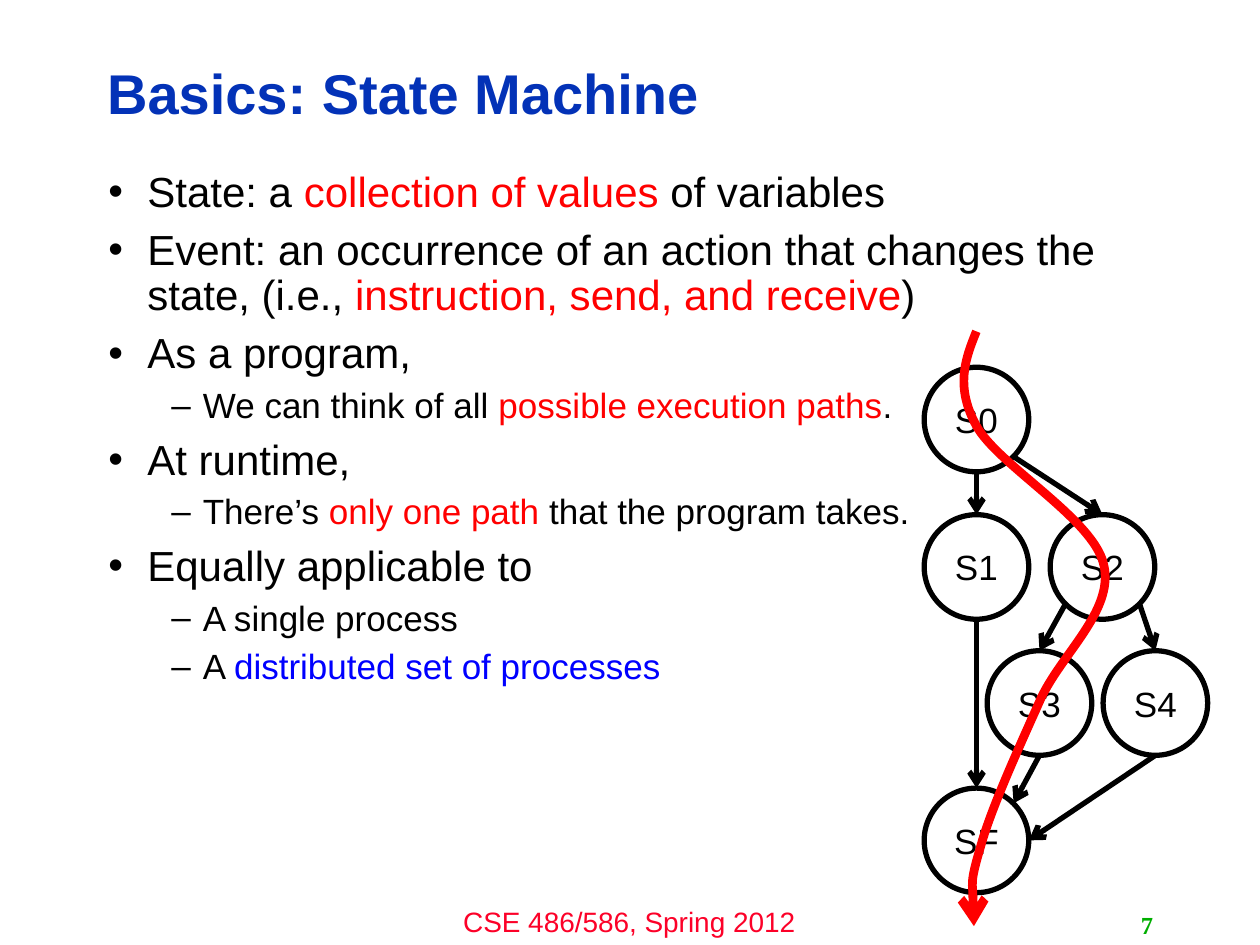
"""Build the state machine slide with its bullets, state graph and path."""
from pptx import Presentation
from pptx.dml.color import RGBColor
from pptx.enum.shapes import MSO_CONNECTOR as Link, MSO_SHAPE as Kind
from pptx.enum.text import MSO_ANCHOR as Anchor, MSO_AUTO_SIZE as Auto, PP_ALIGN as Align
from pptx.oxml.xmlchemy import OxmlElement as Elem
from pptx.util import Inches, Pt


def style(font, size, color, name="Arial", bold=False):
    font.size, font.name, font.bold = Pt(size), name, bold
    font.color.rgb = RGBColor.from_string(color)


def arrow(shape, color, width):
    shape.line.color.rgb = RGBColor.from_string(color)
    shape.line.width = Pt(width)
    tail = Elem("a:tailEnd")
    tail.set("type", "arrow")
    shape.line._get_or_add_ln().append(tail)
    shape._element.spPr.append(Elem("a:effectLst"))


deck = Presentation()
deck.slide_width, deck.slide_height = Inches(10), Inches(7.5)
slide = deck.slides.add_slide(deck.slide_layouts[1])
shapes = slide.shapes

title, body = slide.placeholders
for holder, box in ((title, (0.75, 0.36, 7.98, 0.81)), (body, (0.76, 1.31, 8.4, 5.39))):
    holder.left, holder.top, holder.width, holder.height = map(Inches, box)
    holder.text_frame.auto_size = Auto.NONE

title.text_frame.text = "Basics: State Machine"
title.text_frame.vertical_anchor = Anchor.MIDDLE
para = title.text_frame.paragraphs[0]
para.alignment, para.line_spacing = Align.LEFT, 0.9
style(para.runs[0].font, 32, "0332B7", bold=True)

BLACK, RED, BLUE = "000000", "FF0000", "0000FF"
items = [
    (0, ("State: a ", BLACK), ("collection of values", RED), (" of variables", BLACK)),
    (0, ("Event: an occurrence of an action that changes the state, (i.e., ", BLACK),
     ("instruction, send, and receive", RED), (")", BLACK)),
    (0, ("As a program,", BLACK)),
    (1, ("We can think of all ", BLACK), ("possible execution paths", RED), (".", BLACK)),
    (0, ("At runtime,", BLACK)),
    (1, ("There’s ", BLACK), ("only one path", RED), (" that the program takes.", BLACK)),
    (0, ("Equally applicable to", BLACK)),
    (1, ("A single process", BLACK)),
    (1, ("A ", BLACK), ("distributed set of processes", BLUE)),
]
frame = body.text_frame
for i, (level, *parts) in enumerate(items):
    para = frame.add_paragraph() if i else frame.paragraphs[0]
    size, left, hang, mark = ((24, 0.31, 0.31, "•"), (20, 0.75, 0.25, "–"))[level]
    para.level, para.line_spacing = level, 0.9
    para.space_before = Pt(0.3 * size if i else 0)
    props = para._p.get_or_add_pPr()
    props.set("marL", str(Inches(left)))
    props.set("indent", str(-Inches(hang)))
    bullet = Elem("a:buChar")
    bullet.set("char", mark)
    props.append(bullet)
    for text, color in parts:
        run = para.add_run()
        run.text = text
        style(run.font, size, color)

labels = [
    ("CSE 486/586, Spring 2012", (3.33, 7.13, 3.33, 0.37), Align.CENTER,
     (16, "FC0128", "Arial", False)),
    ("7", (7.17, 7.18, 2.08, 0.32), Align.RIGHT,
     (14, "00AE00", "Times New Roman", True)),
]
for text, box, align, look in labels:
    frame = shapes.add_textbox(*map(Inches, box)).text_frame
    frame.word_wrap, frame.vertical_anchor = True, Anchor.MIDDLE
    frame.text = text
    frame.paragraphs[0].alignment = align
    style(frame.paragraphs[0].runs[0].font, *look)

SIZE = 0.83
states = {"S0": (7.75, 3.33), "S1": (7.75, 4.5), "S2": (8.75, 4.5),
          "S4": (9.17, 5.58), "S3": (8.25, 5.58), "SF": (7.75, 6.67)}
for name, (x, y) in states.items():
    node = shapes.add_shape(Kind.OVAL, Inches(x - SIZE / 2), Inches(y - SIZE / 2),
                            Inches(SIZE), Inches(SIZE))
    node.shadow.inherit = False
    node.fill.solid()
    node.fill.fore_color.rgb = RGBColor.from_string("FFFFFF")
    node.line.color.rgb = RGBColor.from_string(BLACK)
    node.line.width = Pt(3)
    frame = node.text_frame
    frame.text = name
    frame.word_wrap, frame.vertical_anchor = False, Anchor.MIDDLE
    frame.paragraphs[0].alignment = Align.CENTER
    style(frame.paragraphs[0].runs[0].font, 20, BLACK)

sides = {"top": (0, -1), "bottom": (0, 1), "right": (1, 0),
         "NE": (0.71, -0.71), "SE": (0.71, 0.71), "SW": (-0.71, 0.71)}
edges = [("S0", "SE", "S2", "top"), ("S0", "bottom", "S1", "top"),
         ("S1", "bottom", "SF", "top"), ("S2", "SW", "S3", "top"),
         ("S2", "SE", "S4", "top"), ("S3", "bottom", "SF", "NE"),
         ("S4", "bottom", "SF", "right")]
for start, out, end, into in edges:
    ends = []
    for name, side in ((start, out), (end, into)):
        ends += [Inches(c + d * SIZE / 2) for c, d in zip(states[name], sides[side])]
    arrow(shapes.add_connector(Link.STRAIGHT, *ends), BLACK, 3)

curve = [(7.75, 2.63), (7.66, 2.85), (7.58, 3.07), (7.75, 3.38),
         (7.92, 3.69), (8.68, 4.12), (8.76, 4.48),
         (8.85, 4.85), (8.41, 5.2), (8.25, 5.57),
         (8.08, 5.95), (7.86, 6.43), (7.78, 6.73),
         (7.69, 7.03), (7.73, 7.35), (7.73, 7.35)]
dots = [(Inches(x), Inches(y)) for x, y in curve]
pen = shapes.build_freeform(*dots[0])
pen.add_line_segments(dots[1:], close=False)
trace = pen.convert_to_shape()
trace.fill.background()
steps = trace._element.xpath(".//a:lnTo")
for i in range(0, len(steps), 3):
    bend = Elem("a:cubicBezTo")
    steps[i].addprevious(bend)
    for step in steps[i:i + 3]:
        bend.append(step[0])
        step.getparent().remove(step)
arrow(trace, RED, 5)

deck.save("out.pptx")
